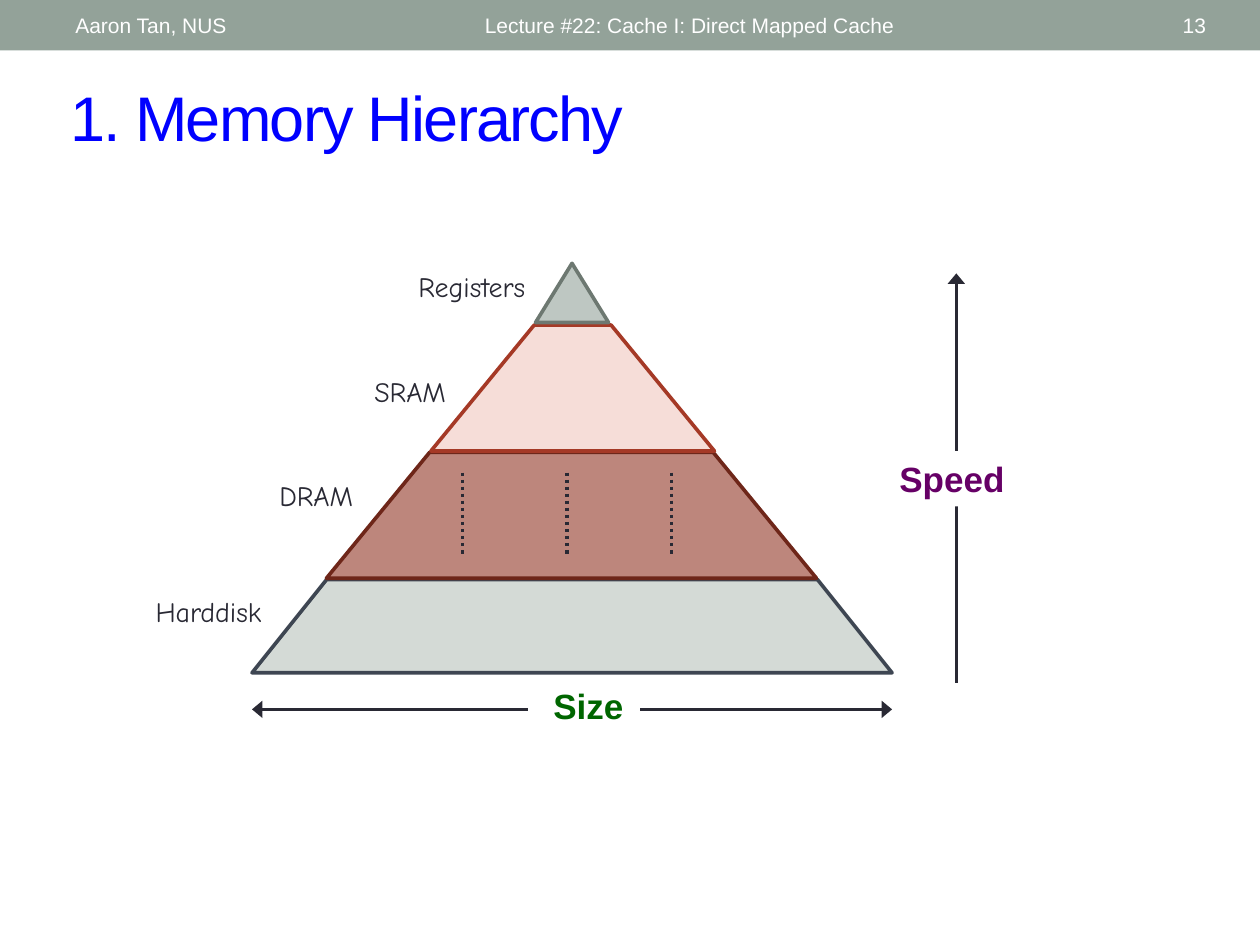
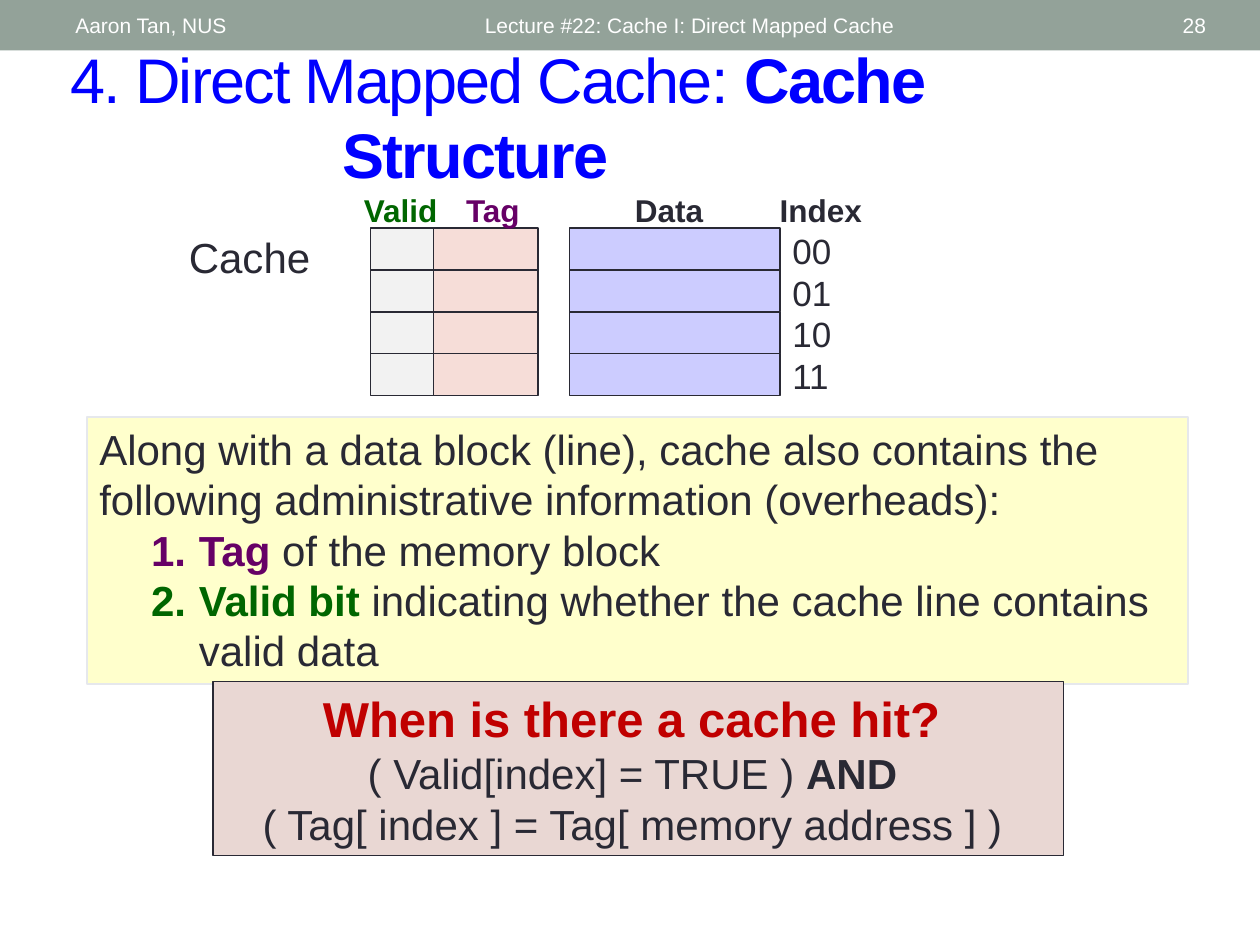
import pptx
import pptx.dml.color
import pptx.enum.dml
import pptx.enum.shapes
import pptx.enum.text
import pptx.util
from pptx.oxml.xmlchemy import OxmlElement

Inches = pptx.util.Inches
SHAPE = pptx.enum.shapes.MSO_SHAPE
ALIGN = pptx.enum.text.PP_ALIGN
ANCHOR = pptx.enum.text.MSO_ANCHOR

INK, WHITE, BLUE = "292934", "FFFFFF", "0000FF"
PURPLE, GREEN, RED = "660066", "006600", "C00000"
BAND = "93A299"

# Every line of text is a list of (text, format) runs.
FOOTER = {"size": 12, "color": WHITE}
TITLE = {"size": 36, "color": BLUE, "spacing": -100}
BODY = {"size": 24}
AXIS = {"size": 20, "bold": True}
HEADING = {"size": 18, "bold": True}
HAND = {"size": 16, "name": "Comic Neue"}

AUTHOR = "Aaron Tan, NUS"
LECTURE = "Lecture #22: Cache I: Direct Mapped Cache"

HIERARCHY = {
    "number": "13",
    "title": [("1. Memory Hierarchy", TITLE)],
}
# label, label box, tier box, preset, inset ratio, fill, outline
TIERS = [
    ("Harddisk", (1.08, 4.67, 1.15, 0.37), (2, 4.6, 5.08, 0.74), SHAPE.TRAPEZOID, 0.8, "D4DAD6", "3E4652"),
    ("DRAM", (2.08, 3.75, 0.86, 0.37), (2.59, 3.59, 3.89, 1), SHAPE.TRAPEZOID, 0.82, "BD867C", "6E2619"),
    ("SRAM", (2.83, 2.92, 0.85, 0.37), (3.42, 2.58, 2.25, 1), SHAPE.TRAPEZOID, 0.82, "F6DDD8", "A53926"),
    ("Registers", (3.15, 2.09, 1.19, 0.37), (4.25, 2.09, 0.58, 0.47), SHAPE.ISOSCELES_TRIANGLE, None,
     "BEC7C2", "6D7871"),
]
DOTTED_FIRST, DOTTED_STEP, DOTTED_COUNT = 3.67, 0.83, 3
DOTTED_TOP, DOTTED_BOTTOM = 3.75, 4.42
SIZE_Y, SPEED_X = 5.63, 7.59

STRUCTURE = {
    "number": "28",
    "title": [("4. Direct Mapped Cache: ", TITLE), ("Cache Structure", {**TITLE, "bold": True})],
}
# heading, heading left, heading width, heading colour
HEADINGS = [
    ("Valid", 2.79, 0.75, GREEN),
    ("Tag", 3.6, 0.65, PURPLE),
    ("Data", 4.94, 0.75, INK),
    ("Index", 6.09, 0.9, INK),
]
# column left, column width, fill
COLUMNS = [(4.52, 1.67, "CCCCFF"), (3.44, 0.83, "F6DDD8"), (2.94, 0.5, "F2F2F2")]
INDEXES = ["00", "01", "10", "11"]
CACHE_TOP, CACHE_HEIGHT, HEADING_TOP = 1.81, 1.33, 1.47
INDEX_LEFT, INDEX_WIDTH = 6.19, 0.6

OVERHEADS_INTRO = [("Along with a data block (line), cache also contains the following "
                    "administrative information (overheads):", BODY)]
OVERHEADS = [
    [("Tag ", {**BODY, "bold": True, "color": PURPLE}), ("of the memory block", BODY)],
    [("Valid bit ", {**BODY, "bold": True, "color": GREEN}),
     ("indicating whether the cache line contains valid data", BODY)],
]
CACHE_HIT = [
    [("When is there a cache hit? ", {"size": 28, "bold": True, "color": RED})],
    [("( Valid[index] = TRUE ) ", BODY), ("AND ", {**BODY, "bold": True})],
    [("( Tag[ index ] = Tag[ memory address ] ) ", BODY)],
]


def rgb(hex_color):
    return pptx.dml.color.RGBColor.from_string(hex_color)


def write(shape, lines, align=ALIGN.LEFT, **layout):
    """Fill a shape with lines of formatted runs and return its paragraphs."""
    frame = shape.text_frame
    for key, value in {"word_wrap": True, "vertical_anchor": ANCHOR.TOP, **layout}.items():
        setattr(frame, key, value)
    for number, runs in enumerate(lines):
        paragraph = frame.add_paragraph() if number else frame.paragraphs[0]
        paragraph.alignment = align
        for text, style in runs:
            run = paragraph.add_run()
            run.text = text
            look = {"name": "Arial", "bold": False, "color": INK, **style}
            run.font.color.rgb = rgb(look.pop("color"))
            spacing = look.pop("spacing", None)
            look["size"] = pptx.util.Pt(look["size"])
            for key, value in look.items():
                setattr(run.font, key, value)
            if spacing:
                run.font._element.set("spc", str(spacing))
    return frame.paragraphs


def indent(paragraph, left, hanging, numbered=False):
    properties = paragraph._p.get_or_add_pPr()
    properties.set("marL", str(Inches(left)))
    properties.set("indent", str(-Inches(hanging)))
    if numbered:
        bullet = OxmlElement("a:buAutoNum")
        bullet.set("type", "arabicPeriod")
        properties.append(bullet)


def add_text(slide, box, lines, **layout):
    return write(slide.shapes.add_textbox(*map(Inches, box)), lines, **layout)


def add_cache_label(slide, box, text, style):
    """Add a one-line label whose text may run to the right edge of its box."""
    add_text(slide, box, [[(text, style)]], word_wrap=False, margin_right=0)


def add_block(slide, box, fill, line=None, width=0.75, preset=SHAPE.RECTANGLE):
    block = slide.shapes.add_shape(preset, *map(Inches, box))
    block.shadow.inherit = False
    block.fill.solid()
    block.fill.fore_color.rgb = rgb(fill)
    if line:
        block.line.color.rgb = rgb(line)
        block.line.width = pptx.util.Pt(width)
    else:
        block.line.fill.background()
    return block


def add_line(slide, start, end, width=1.5, arrow=False, dash=None):
    connector = slide.shapes.add_connector(
        pptx.enum.shapes.MSO_CONNECTOR.STRAIGHT, *map(Inches, start + end))
    connector.line.color.rgb = rgb(INK)
    connector.line.width = pptx.util.Pt(width)
    if dash:
        connector.line.dash_style = dash
    if arrow:
        head = OxmlElement("a:tailEnd")
        head.set("type", "triangle")
        head.set("w", "lg")
        connector.line._get_or_add_ln().append(head)
    connector._element.spPr.append(OxmlElement("a:effectLst"))


def add_lecture_slide(deck, content):
    """Start a slide with the header band, footers and title."""
    slide = deck.slides.add_slide(deck.slide_layouts[6])
    add_block(slide, (0, 0, 10, 0.4), BAND)
    for text, left, width, align in [
        (LECTURE, 3.75, 4.5, ALIGN.LEFT),
        (content["number"], 8.72, 0.95, ALIGN.RIGHT),
        (AUTHOR, 0.5, 3.17, ALIGN.LEFT),
    ]:
        add_text(slide, (left, 0.02, width, 0.36), [[(text, FOOTER)]],
                 align=align, vertical_anchor=ANCHOR.MIDDLE)
    title = add_text(slide, (0.46, 0.57, 9.2, 0.7), [content["title"]], vertical_anchor=ANCHOR.MIDDLE)
    indent(title[0], 2.16, 2.16)
    return slide


def build_hierarchy(deck):
    slide = add_lecture_slide(deck, HIERARCHY)
    add_text(slide, (4.29, 5.38, 0.76, 0.44), [[("Size", {**AXIS, "color": GREEN})]],
             align=ALIGN.CENTER, vertical_anchor=ANCHOR.MIDDLE, word_wrap=False)
    for inner, outer in [(4.19, 2), (5.08, 7.08)]:
        add_line(slide, (inner, SIZE_Y), (outer, SIZE_Y), arrow=True)
    add_line(slide, (SPEED_X, 5.42), (SPEED_X, 2.17), arrow=True)
    speed = add_block(slide, (7, 3.58, 1.11, 0.44), WHITE)
    write(speed, [[("Speed", {**AXIS, "color": PURPLE})]],
          align=ALIGN.CENTER, vertical_anchor=ANCHOR.MIDDLE)

    for label, label_box, tier_box, preset, inset, fill, outline in TIERS:
        tier = add_block(slide, tier_box, fill, outline, 2.08, preset)
        if inset:
            tier.adjustments[0] = inset
        add_text(slide, label_box, [[(label, HAND)]], align=ALIGN.CENTER, word_wrap=False)
    for number in range(DOTTED_COUNT):
        x = DOTTED_FIRST + number * DOTTED_STEP
        add_line(slide, (x, DOTTED_TOP), (x, DOTTED_BOTTOM), 2,
                 dash=pptx.enum.dml.MSO_LINE.ROUND_DOT)


def build_structure(deck):
    slide = add_lecture_slide(deck, STRUCTURE)
    row_height = CACHE_HEIGHT / len(INDEXES)
    row_tops = [CACHE_TOP + row * row_height for row in range(len(INDEXES))]

    add_text(slide, (1.4, 1.79, 1.22, 0.5), [[("Cache", BODY)]])
    for left, width, fill in COLUMNS:
        for top in row_tops:
            add_block(slide, (left, top, width, row_height), fill, INK)
    for heading, left, width, color in HEADINGS:
        add_cache_label(slide, (left, HEADING_TOP, width, 0.37), heading, {**HEADING, "color": color})
    for index, top in zip(INDEXES, row_tops):
        add_cache_label(slide, (INDEX_LEFT, top - 0.04, INDEX_WIDTH, 0.37), index, {"size": 20})

    overheads = add_block(slide, (0.69, 3.31, 8.74, 2.12), "FFFFCC", "E6E8EC")
    for item in write(overheads, [OVERHEADS_INTRO] + OVERHEADS)[1:]:
        indent(item, 0.79, 0.38, numbered=True)
    cache_hit = add_block(slide, (1.69, 5.41, 6.75, 1.38), "E9D7D3", INK)
    write(cache_hit, CACHE_HIT, align=ALIGN.CENTER, vertical_anchor=ANCHOR.MIDDLE)


def main():
    deck = pptx.Presentation()
    deck.slide_width, deck.slide_height = Inches(10), Inches(7.5)
    build_hierarchy(deck)
    build_structure(deck)
    deck.save("out.pptx")


if __name__ == "__main__":
    main()
